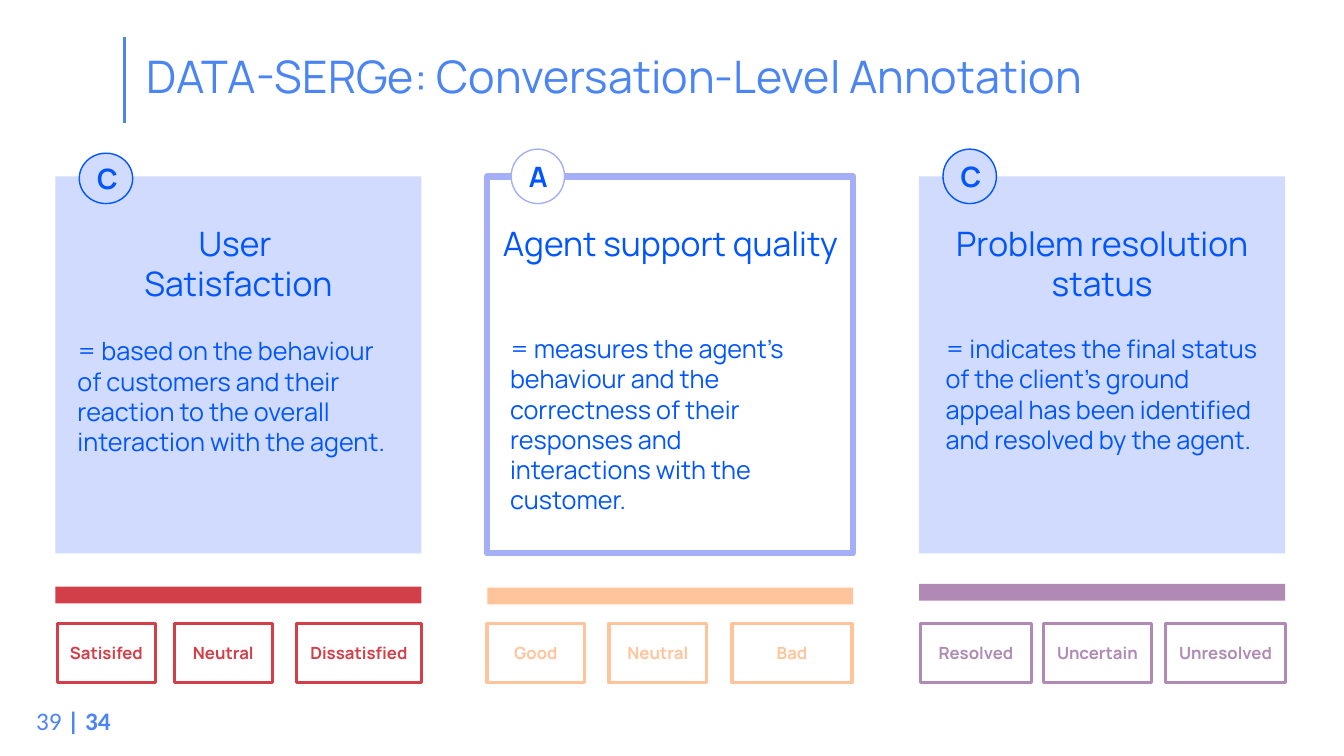
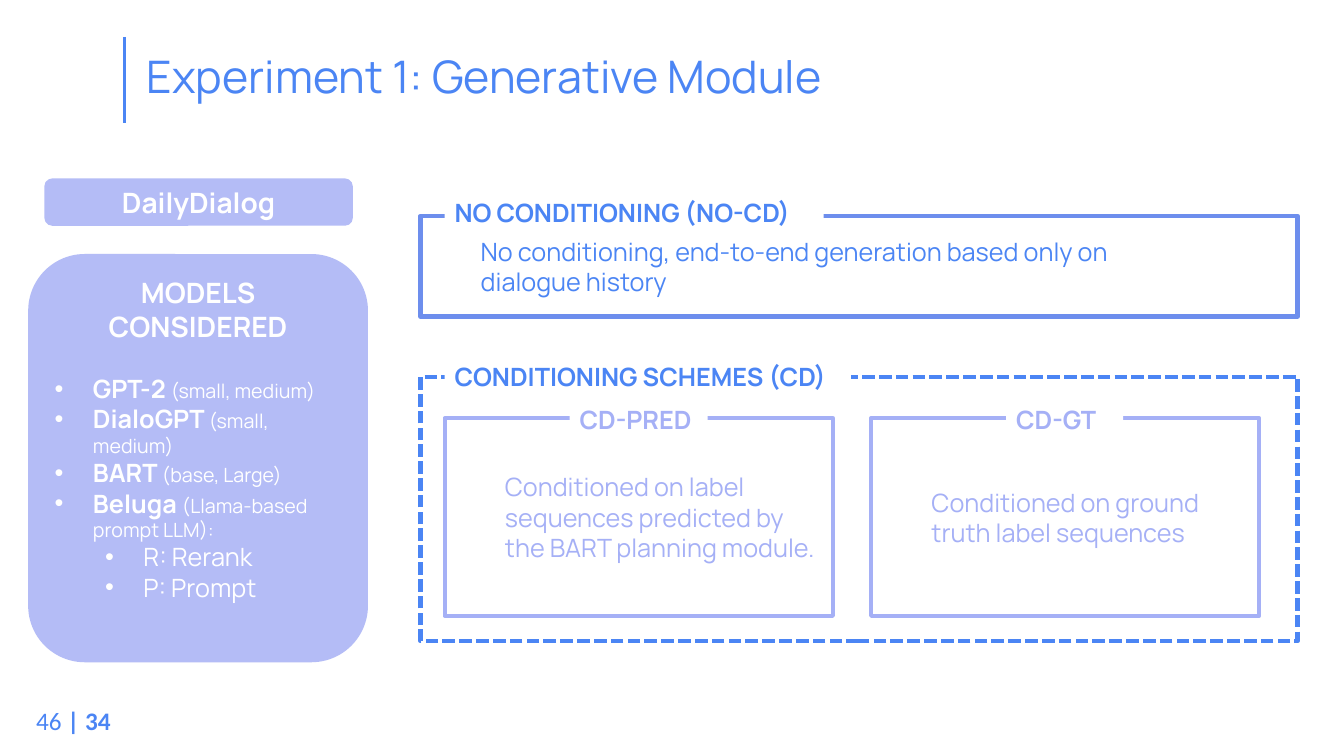
import lxml.etree
import pptx
import pptx.dml.color
import pptx.enum.dml
import pptx.enum.shapes
import pptx.enum.text
import pptx.oxml.ns
import pptx.util

FORM = pptx.enum.shapes.MSO_SHAPE
ALIGN = pptx.enum.text.PP_ALIGN
ANCHOR = pptx.enum.text.MSO_ANCHOR
qn = pptx.oxml.ns.qn

INK = {
    "title": "4B85F4", "text": "0055FF", "pale": "D0DBFD", "lilac": "A5AFF5",
    "scheme": "A5B0F6", "frame": "6D8EED", "white": "FFFFFF",
    "red": "D33F49", "peach": "FFC49B", "plum": "B08AB4",
}

deck = pptx.Presentation()
deck.slide_width = pptx.util.Inches(13.33)
deck.slide_height = pptx.util.Inches(7.5)
# The grid has 160 columns and 90 rows of square cells.
CELL = deck.slide_height / 90


def box(page, spot, form=None, fill=None, edge=None, width=1, mid=False, clear=None):
    """Place a shape, or a text box if no form is given; spot is in grid cells."""
    place = [round(n * CELL) for n in spot]
    if form is None:
        item = page.shapes.add_textbox(*place)
    else:
        item = page.shapes.add_shape(form, *place)
        item.shadow.inherit = False
        if fill:
            item.fill.solid()
            item.fill.fore_color.rgb = pptx.dml.color.RGBColor.from_string(INK[fill])
            if clear:
                tint = item.fill._xPr.find(qn("a:solidFill"))[0]
                lxml.etree.SubElement(tint, qn("a:alpha"), val=str(clear * 1000))
        else:
            item.fill.background()
        if edge:
            item.line.color.rgb = pptx.dml.color.RGBColor.from_string(INK[edge])
            item.line.width = pptx.util.Pt(width)
        else:
            item.line.fill.background()
    item.text_frame.word_wrap = True
    item.text_frame.vertical_anchor = ANCHOR.MIDDLE if mid else ANCHOR.TOP
    return item


def write(para, runs, ink, align=ALIGN.LEFT, face="Manrope", indent=0, bullet=False):
    """Fill a paragraph with (text, size, bold) runs; a newline is a line break."""
    para.alignment = align
    if indent:
        props = para._p.get_or_add_pPr()
        hang = 0.38 if bullet else 0
        props.set("marL", str(pptx.util.Inches(indent)))
        props.set("indent", str(-pptx.util.Inches(hang)))
        if bullet:
            lxml.etree.SubElement(props, qn("a:buFont"), typeface="Arial")
            lxml.etree.SubElement(props, qn("a:buChar"), char="•")
    for text, size, bold in runs:
        for row, part in enumerate(text.split("\n")):
            if row:
                para.add_line_break()
            run = para.add_run()
            run.text = part
            run.font.name = face
            run.font.size = pptx.util.Pt(size)
            run.font.bold = bold
            run.font.color.rgb = pptx.dml.color.RGBColor.from_string(INK[ink])


# Shared parts: title, rule and page number
pages = []
for title, number in (
    ("DATA-SERGe: Conversation-Level Annotation", "39 "),
    ("Experiment 1: Generative Module", "46 "),
):
    page = deck.slides.add_slide(deck.slide_layouts[6])
    pages.append(page)
    foot = box(page, (3.12, 83.4, 11.88, 4.8))
    write(foot.text_frame.paragraphs[0],
          [(number, 18, False), ("| 34", 18, True)], "title", face="Calibri")
    ends = [round(n * CELL) for n in (14.8, 4.4, 14.8, 14.6)]
    rule = page.shapes.add_connector(pptx.enum.shapes.MSO_CONNECTOR.STRAIGHT, *ends)
    rule.line.color.rgb = pptx.dml.color.RGBColor.from_string(INK["title"])
    rule.line.width = pptx.util.Pt(2.25)
    lxml.etree.SubElement(rule._element.spPr, qn("a:effectLst"))
    head = box(page, (16.3, 0.7, 138, 17.4), mid=True).text_frame.paragraphs[0]
    head.line_spacing = 0.9
    write(head, [(title, 32, False)], "title")

first, second = pages

# Three cards, each with a badge, a bar and its labels
CARD, STEP = 43.56, 51.4
cards = (
    ("User \nSatisfaction",
     "= based on the behaviour of customers and their reaction to the overall "
     "interaction with the agent.",
     "C", "pale", None, "text", "red", (8.04, 39.36, 40.7), (18.24, 6), 69.84,
     (("Satisifed", 6.84, 11.64), ("Neutral", 20.76, 11.64), ("Dissatisfied", 35.28, 14.88))),
    ("Agent support quality",
     "= measures the agent’s behaviour and the correctness of their responses "
     "and interactions with the customer.",
     "A", "white", "lilac", "lilac", "peach", (59.52, 39.12, 39.84), (17.76, 6.48), 69.96,
     (("Good", 57.96, 11.64), ("Neutral", 72.48, 11.64), ("Bad", 87.12, 14.28))),
    ("Problem resolution status",
     "= indicates the final status of the client’s ground appeal has been "
     "identified and resolved by the agent.",
     "C", "pale", None, "text", "plum", (111.36, 39.12, 39.6), (17.76, 6.48), 69.5,
     (("Resolved", 109.56, 13.2), ("Uncertain", 124.2, 12.84), ("Unresolved", 138.72, 14.28))),
)
for col, (name, note, mark, fill, edge, ring, tone, spot, disc, low, tags) in enumerate(cards):
    left = 6.6 + col * STEP
    card = box(first, (left, 21, CARD, 44.88), FORM.RECTANGLE, fill, edge, 4.5)
    card.text_frame.margin_top = round(5.5 * CELL)
    write(card.text_frame.paragraphs[0], [(name, 24, False)], "text", ALIGN.CENTER)
    body = box(first, (*spot, 19.44))
    write(body.text_frame.paragraphs[0], [(note, 18, False)], "text")
    badge = box(first, (left + 2.84, disc[0], 6.36, disc[1]), FORM.OVAL, fill, ring, mid=True)
    write(badge.text_frame.paragraphs[0], [(mark, 20, True)], "text", ALIGN.CENTER)
    box(first, (left, low, CARD, 2), FORM.RECTANGLE, tone)
    for word, start, wide in tags:
        tag = box(first, (start, 74.2, wide, 7.1), FORM.RECTANGLE, None, tone, 2.25, True)
        write(tag.text_frame.paragraphs[0], [(word, 12, True)], tone, ALIGN.CENTER)

# Data set and models
data = box(second, (5.28, 21.24, 36.72, 5.64), FORM.ROUNDED_RECTANGLE, "lilac", clear=83)
write(data.text_frame.paragraphs[0], [("DailyDialog", 20, True)], "white", ALIGN.CENTER)
panel = box(second, (3.36, 30.24, 40.44, 48.6), FORM.ROUNDED_RECTANGLE, "lilac", clear=83)
frame = panel.text_frame
write(frame.paragraphs[0], [("MODELS CONSIDERED", 20, True)], "white", ALIGN.CENTER)
models = (
    ("GPT-2 ", "(small, medium)"),
    ("DialoGPT ", "(small, medium)"),
    ("BART ", "(base, Large)"),
    ("Beluga ", "(Llama-based prompt LLM):"),
)
for row, (name, kind) in enumerate(models):
    para = frame.add_paragraph()
    if row == 0:
        para.space_before = pptx.util.Pt(22)
    write(para, [(name, 18, True), (kind, 14, False)], "white", indent=0.38, bullet=True)
for mode in ("R: Rerank", "P: Prompt"):
    para = frame.add_paragraph()
    para.level = 1
    write(para, [(mode, 18, False)], "white", indent=0.88, bullet=True)

# Framed schemes, each with a label over its top edge
schemes = (
    ((50.04, 44.88, 104.4, 31.44), "title", "title", True, "",
     "CONDITIONING SCHEMES (CD)", (52.92, 42.48, 48.36)),
    ((52.92, 49.8, 46.2, 23.52), "scheme", "scheme", False,
     "Conditioned on label sequences predicted by \nthe BART planning module.",
     "CD-PRED", (67.8, 47.52, 16.44)),
    ((103.68, 49.8, 46.2, 23.52), "scheme", "scheme", False,
     "Conditioned on ground truth label sequences",
     "CD-GT", (119.76, 47.52, 13.92)),
    ((50.04, 25.68, 104.4, 12), "frame", "title", False,
     "No conditioning, end-to-end generation based only on \ndialogue history",
     "NO CONDITIONING (NO-CD)", (52.92, 22.92, 45.12)),
)
for spot, edge, tone, dashed, note, name, top in schemes:
    area = box(second, spot, FORM.RECTANGLE, "white", edge, 3, True)
    if dashed:
        area.line.dash_style = pptx.enum.dml.MSO_LINE.SQUARE_DOT
    if note:
        write(area.text_frame.paragraphs[0], [(note, 18, False)], tone, indent=0.5)
    label = box(second, (*top, 4.8), FORM.RECTANGLE, "white")
    write(label.text_frame.paragraphs[0], [(name, 18, True)], tone)

deck.save("out.pptx")
